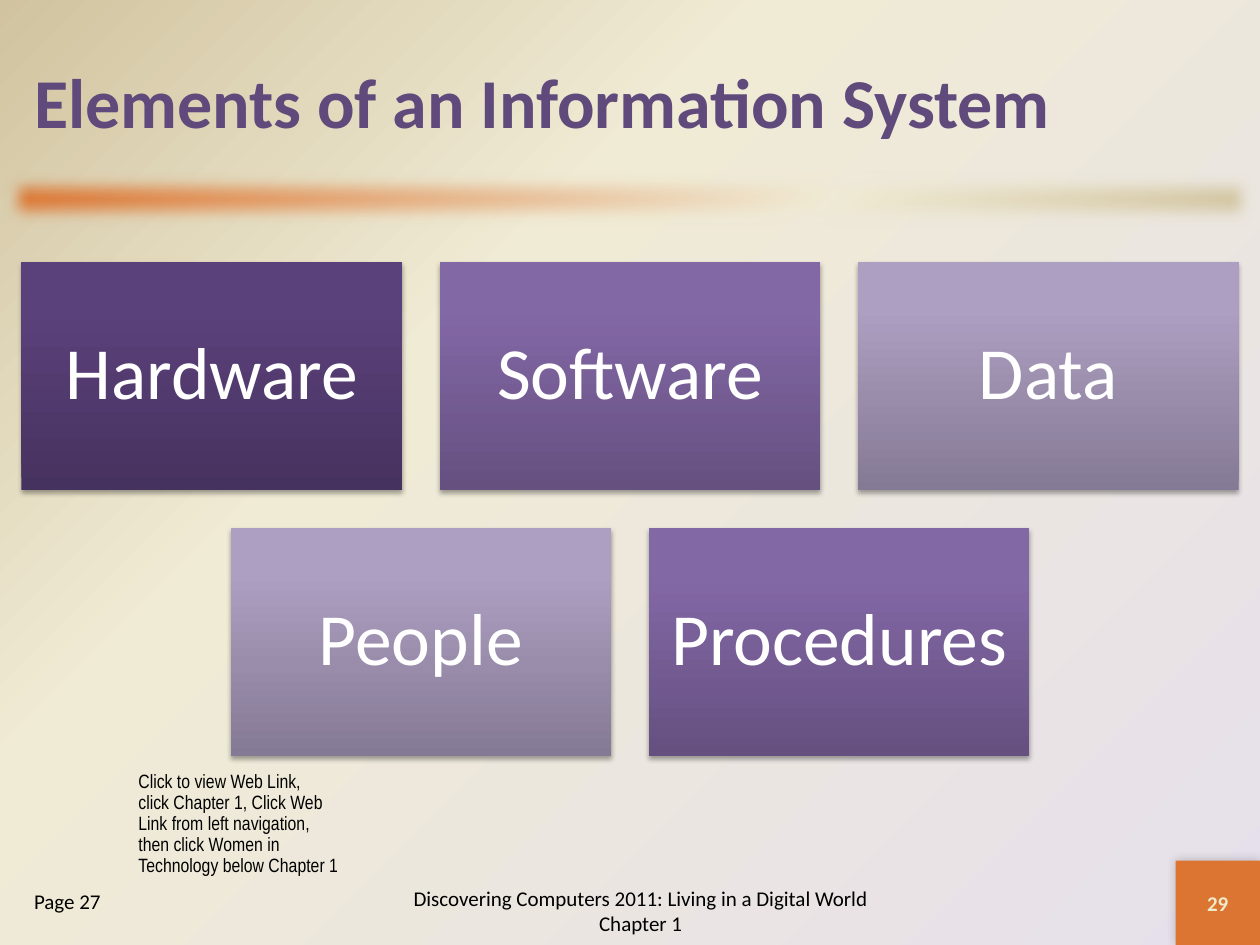
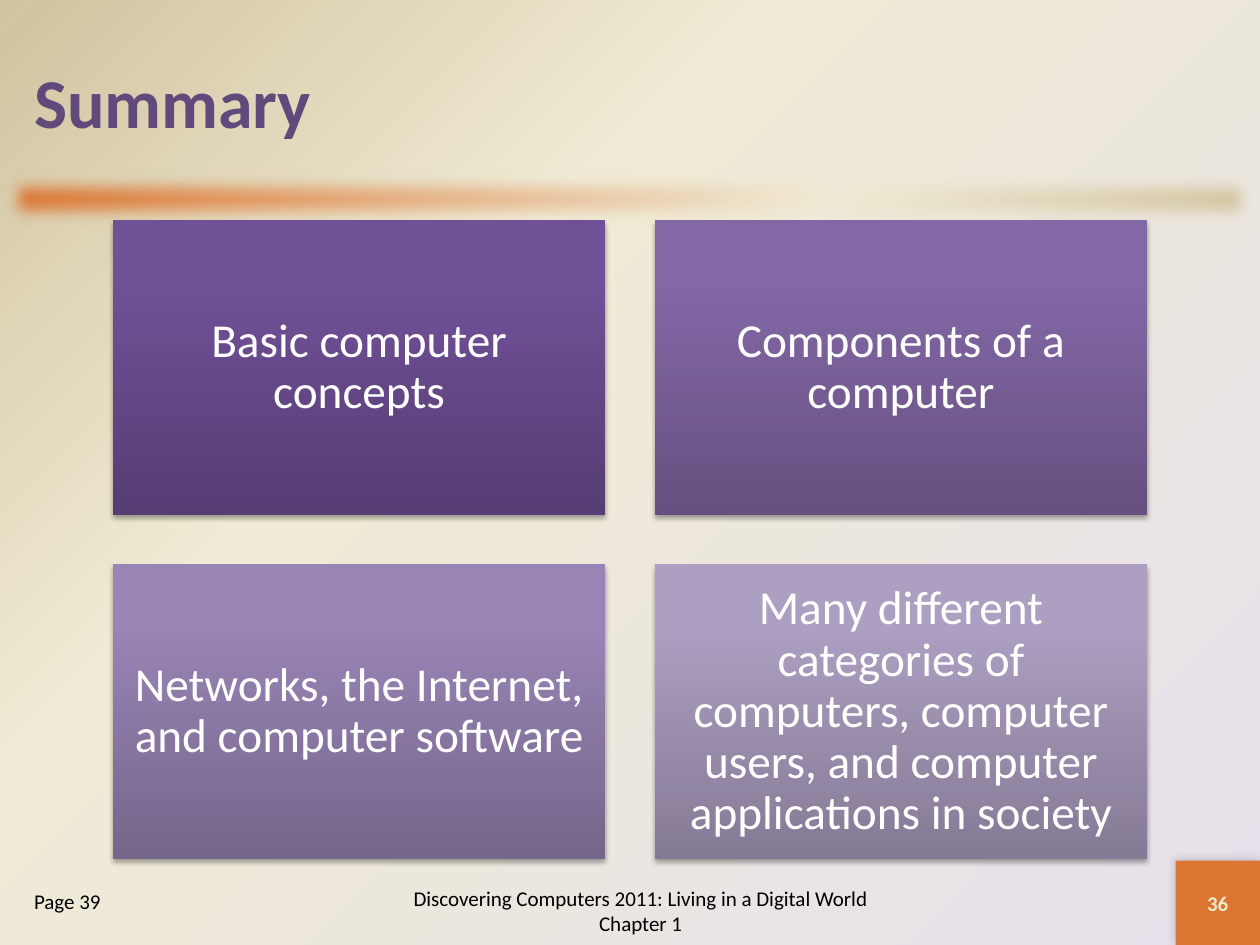
"""Build two slides of a computing course: system elements and chapter summary."""
from copy import deepcopy
from dataclasses import dataclass
from typing import Optional

from lxml.etree import SubElement
from pptx import Presentation
from pptx.dml.color import RGBColor
from pptx.enum.shapes import MSO_SHAPE as SHAPE
from pptx.enum.text import MSO_ANCHOR as ANCHOR, MSO_AUTO_SIZE as FIT, PP_ALIGN as ALIGN
from pptx.oxml.ns import qn
from pptx.util import Inches, Pt

COLORS = {
    "title": "604A7B", "text": "000000", "tile_text": "FFFFFF", "number": "EEEBCA",
    "orange": "DB7531", "cream": "F0EBD5", "sand": "D1C39F", "lavender": "E6E0EC",
    "shadow": "000000",
    "plum_low": "46325F", "plum_mid": "5B417B", "plum_top": "5B407C",
    "violet_low": "563D74", "violet_mid": "705097", "violet_top": "704F99",
    "purple_low": "655080", "purple_mid": "8368A6", "purple_top": "8368A8",
    "mauve_low": "75668B", "mauve_mid": "9884B5", "mauve_top": "9984B7",
    "lilac_low": "857A95", "lilac_mid": "AD9FC1", "lilac_top": "AE9FC3",
}
FONT = "Calibri"
FOOTER = "Discovering Computers 2011: Living in a Digital World Chapter 1"
WEB_LINK = (
    "Click to view Web Link,\vclick Chapter 1, Click Web\vLink from left navigation,",
    "then click Women in Technology below Chapter 1",
)


@dataclass(frozen=True)
class Tile:
    """A labelled box and the tone of its gradient."""
    text: str
    tone: str


@dataclass(frozen=True)
class Grid:
    """Rows of equal tiles, each row centred on the slide."""
    rows: tuple[tuple[Tile, ...], ...]
    top: float
    width: float
    height: float
    gap: float
    size: int
    inset: float


@dataclass(frozen=True)
class Page:
    """The content of one slide."""
    title: str
    number: str
    book_page: str
    grid: Grid
    note: Optional[tuple[str, ...]] = None


PAGES = (
    Page("Elements of an Information System", "29", "Page 27", Grid(
        ((Tile("Hardware", "plum"), Tile("Software", "purple"), Tile("Data", "lilac")),
         (Tile("People", "lilac"), Tile("Procedures", "purple"))),
        top=2.08, width=3.02, height=1.81, gap=0.3, size=42, inset=0.17), WEB_LINK),
    Page("Summary", "36", "Page 39", Grid(
        ((Tile("Basic computer concepts", "violet"),
          Tile("Components of a computer", "purple")),
         (Tile("Networks, the Internet, and computer software", "mauve"),
          Tile("Many different categories of computers, computer users, "
               "and computer applications in society", "lilac"))),
        top=1.75, width=3.91, height=2.34, gap=0.39, size=27, inset=0.11)),
)


def place(sp, left: float, top: float, width: float, height: float) -> None:
    """Set a shape's position and size in inches."""
    sp.left, sp.top = Inches(left), Inches(top)
    sp.width, sp.height = Inches(width), Inches(height)


def write(sp, *texts: str, size: float, color: str = "text", font: str = FONT,
          bold: bool = False, align=ALIGN.LEFT, anchor=ANCHOR.MIDDLE,
          spacing: float = 1.0, inset: Optional[float] = None) -> None:
    """Fill a shape with formatted paragraphs; a vertical tab breaks a line."""
    tf = sp.text_frame
    tf.word_wrap, tf.auto_size, tf.vertical_anchor = True, FIT.NONE, anchor
    if inset is not None:
        tf.margin_left = tf.margin_right = tf.margin_top = tf.margin_bottom = Inches(inset)
    for i, text in enumerate(texts):
        p = tf.paragraphs[0] if i == 0 else tf.add_paragraph()
        p.text = text
        p.alignment, p.line_spacing, p.space_before = align, spacing, Pt(0)
        for r in p.runs:
            r.font.name, r.font.size, r.font.bold = font, Pt(size), bold
            r.font.color.rgb = RGBColor.from_string(COLORS[color])
        for br in p._p.findall(qn("a:br")):
            br.append(deepcopy(p.runs[0]._r.rPr))


def set_gradient(fill, element, stops: dict[int, str], angle: Optional[int] = None) -> None:
    """Apply a linear gradient, or a circular one from the lower right corner."""
    fill.gradient()
    grad = next(element.iter(qn("a:gradFill")))
    for child in list(grad):
        grad.remove(child)
    gs_list = SubElement(grad, qn("a:gsLst"))
    for pos, color in stops.items():
        gs = SubElement(gs_list, qn("a:gs"), pos=str(pos * 1000))
        SubElement(gs, qn("a:srgbClr"), val=COLORS[color])
    if angle is not None:
        SubElement(grad, qn("a:lin"), ang=str(angle * 60000), scaled="0")
    else:
        path = SubElement(grad, qn("a:path"), path="circle")
        SubElement(path, qn("a:fillToRect"), l="100000", t="100000")


def add_box(slide, left: float, top: float, width: float, height: float):
    """Add a plain rectangle without line or effects."""
    sp = slide.shapes.add_shape(SHAPE.RECTANGLE, *map(Inches, (left, top, width, height)))
    sp.line.fill.background()
    sp.shadow.inherit = False
    return sp


def add_effect(sp, name: str, **attrs: int):
    """Add an effect to a shape's effect list."""
    effects = sp._element.spPr.find(qn("a:effectLst"))
    return SubElement(effects, qn(f"a:{name}"), {k: str(v) for k, v in attrs.items()})


def add_shadow(sp, opacity: int, blur: float, dist: float, angle: int) -> None:
    """Add an outer shadow with lengths in points."""
    shadow = add_effect(sp, "outerShdw", blurRad=Pt(blur), dist=Pt(dist),
                        dir=angle * 60000, rotWithShape=0)
    clr = SubElement(shadow, qn("a:srgbClr"), val=COLORS["shadow"])
    SubElement(clr, qn("a:alpha"), val=str(opacity * 1000))


def add_text(slide, left: float, top: float, width: float, height: float,
             *texts: str, **fmt) -> None:
    """Add a text box with formatted text."""
    write(slide.shapes.add_textbox(*map(Inches, (left, top, width, height))), *texts, **fmt)


def add_frame(slide, page: Page) -> None:
    """Draw the band, title, footer, slide number and book page."""
    band = add_box(slide, 0, 1.33, 10, 0.5)
    set_gradient(band.fill, band._element, {0: "orange", 65: "cream", 100: "sand"}, 45)
    add_effect(band, "softEdge", rad=Pt(10))

    corner = add_box(slide, 9.33, 6.83, 0.67, 0.67)
    corner.fill.solid()
    corner.fill.fore_color.rgb = RGBColor.from_string(COLORS["orange"])
    add_shadow(corner, 20, 6, 0, 225)
    write(corner, page.number, size=12, color="number", bold=True, align=ALIGN.CENTER)

    title, body = slide.shapes.title, slide.placeholders[1]
    place(title, 0.17, 0.17, 9.67, 1.25)
    write(title, page.title, size=40, color="title", bold=True)
    place(body, 0.17, 7, 1.83, 0.5)
    write(body, page.book_page, size=12, anchor=ANCHOR.TOP)
    pPr = body.text_frame.paragraphs[0]._p.get_or_add_pPr()
    pPr.set("marL", "0")
    pPr.set("indent", "0")
    SubElement(pPr, qn("a:buNone"))
    add_text(slide, 3, 6.95, 4.17, 0.55, FOOTER, size=12, align=ALIGN.CENTER)


def add_grid(slide, grid: Grid) -> None:
    """Draw the centred rows of tiles."""
    for i, row in enumerate(grid.rows):
        left = (10 - len(row) * grid.width - (len(row) - 1) * grid.gap) / 2
        top = grid.top + i * (grid.height + grid.gap)
        for j, tile in enumerate(row):
            sp = add_box(slide, left + j * (grid.width + grid.gap), top,
                         grid.width, grid.height)
            stops = {0: f"{tile.tone}_low", 80: f"{tile.tone}_mid", 100: f"{tile.tone}_top"}
            set_gradient(sp.fill, sp._element, stops, 270)
            add_shadow(sp, 35, 3.1, 1.8, 90)
            write(sp, tile.text, size=grid.size, color="tile_text", align=ALIGN.CENTER,
                  spacing=0.9, inset=grid.inset)


def main() -> None:
    """Build and save the presentation."""
    prs = Presentation()
    prs.slide_width, prs.slide_height = Inches(10), Inches(7.5)
    master = prs.slide_master
    set_gradient(master.background.fill, master._element,
                 {0: "lavender", 65: "cream", 100: "sand"})
    for page in PAGES:
        slide = prs.slides.add_slide(prs.slide_layouts[1])
        add_frame(slide, page)
        add_grid(slide, page.grid)
        if page.note:
            add_text(slide, 1, 6.08, 1.92, 0.93, *page.note, size=11,
                     font="Arial Narrow", anchor=ANCHOR.TOP, spacing=0.9)
    prs.save("out.pptx")


if __name__ == "__main__":
    main()
